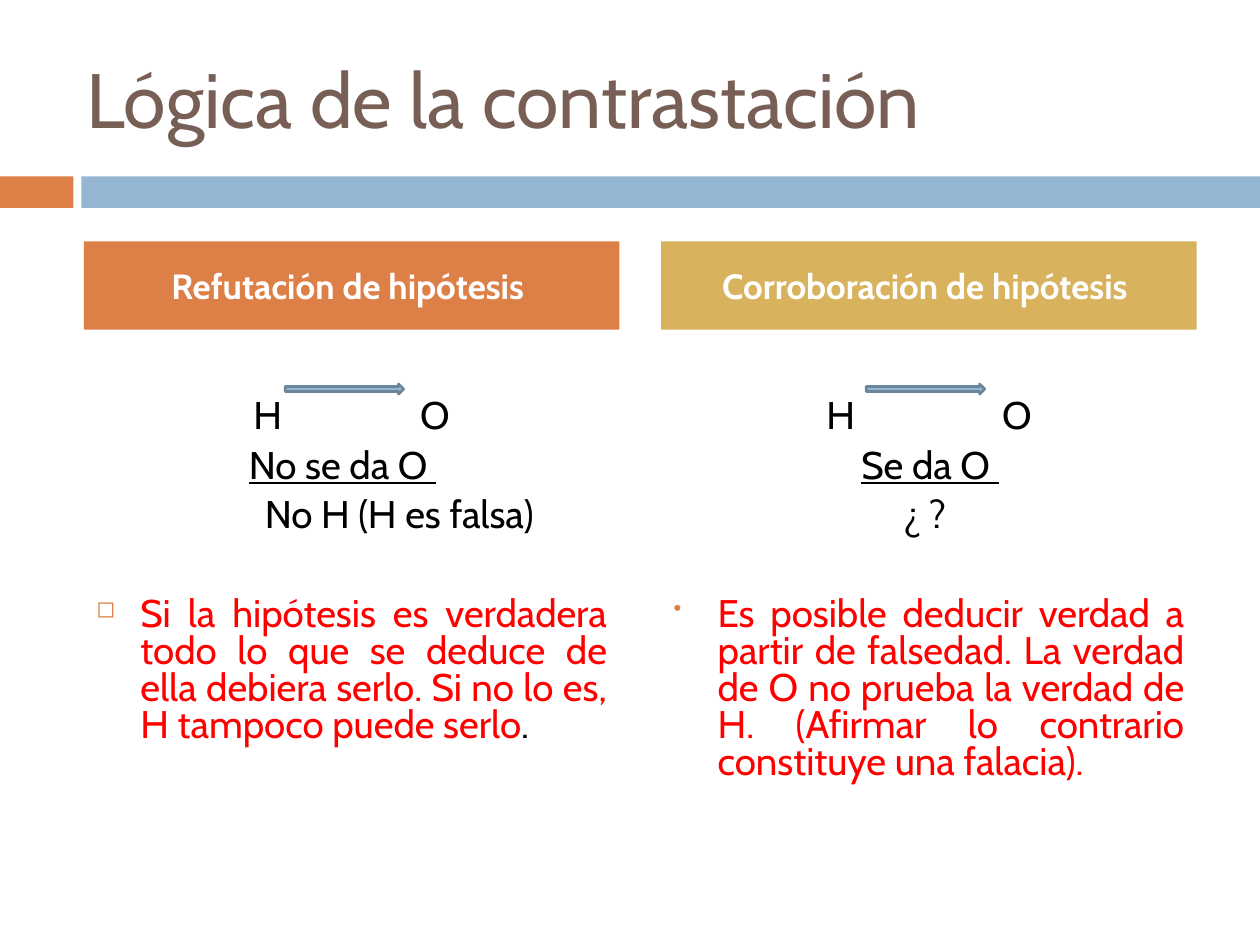
from dataclasses import dataclass

from lxml.etree import SubElement
from pptx import Presentation
from pptx.dml.color import RGBColor
from pptx.enum.shapes import MSO_SHAPE
from pptx.enum.text import MSO_ANCHOR, MSO_AUTO_SIZE, PP_ALIGN
from pptx.oxml.ns import qn
from pptx.shapes.autoshape import Shape
from pptx.slide import Slide
from pptx.util import Pt


@dataclass(frozen=True)
class Theme:
    font: str = "Cabin"
    title_size: float = 44
    heading_size: float = 20
    body_size: float = 22
    line_spacing: float = 0.8
    paragraph_gap: float = 7
    section_gap: float = 35.4
    title: str = "775F55"
    orange: str = "DD8047"
    blue: str = "94B6D2"
    blue_edge: str = "6B859A"
    gold: str = "D8B25C"
    white: str = "FFFFFF"
    black: str = "000000"
    red: str = "FF0000"


@dataclass(frozen=True)
class Box:
    left: float
    top: float
    width: float
    height: float

    def lengths(self) -> tuple[Pt, Pt, Pt, Pt]:
        return Pt(self.left), Pt(self.top), Pt(self.width), Pt(self.height)


@dataclass(frozen=True)
class Line:
    text: str
    indent: float


@dataclass(frozen=True)
class Column:
    left: float
    heading: str
    heading_color: str
    arrow_left: float
    implication_stops: tuple[float, float]
    premise: Line
    inference: Line
    bullet: str
    conclusion: str
    closing: str = ""


THEME = Theme()
COLUMN_WIDTH = 306
COLUMNS = [
    Column(48, "Refutación de hipótesis", THEME.orange, 163, (89.7, 185),
           Line("No se da O ", 87.2), Line("No H (H es falsa)", 96.3), "◻",
           "Si la hipótesis es verdadera todo lo que se deduce de ella debiera serlo. "
           "Si no lo es, H tampoco puede serlo", "."),
    Column(377.8, "Corroboración de hipótesis", THEME.gold, 495, (87.3, 187.8),
           Line("Se da O ", 107.3), Line("¿ ?", 131.2), "•",
           "Es posible deducir verdad a partir de falsedad. La verdad de O no prueba "
           "la verdad de H. (Afirmar lo contrario constituye una falacia)."),
]


def format_runs(paragraph, size: float, color: str, bold: bool = False, underline: bool = False) -> None:
    for run in paragraph.runs:
        run.font.name = THEME.font
        run.font.size = Pt(size)
        run.font.bold = bold
        run.font.underline = underline
        run.font.color.rgb = RGBColor.from_string(color)


def add_block(slide: Slide, preset: MSO_SHAPE, box: Box, fill: str) -> Shape:
    shape = slide.shapes.add_shape(preset, *box.lengths())
    shape.shadow.inherit = False
    shape.fill.solid()
    shape.fill.fore_color.rgb = RGBColor.from_string(fill)
    shape.line.fill.background()
    return shape


def add_title(slide: Slide, text: str) -> None:
    title = slide.shapes.title
    title.left, title.top, title.width, title.height = Box(42, 21.6, 642, 68.4).lengths()
    frame = title.text_frame
    frame.text = text
    frame.auto_size = MSO_AUTO_SIZE.NONE
    frame.vertical_anchor = MSO_ANCHOR.MIDDLE
    frame.paragraphs[0].alignment = PP_ALIGN.LEFT
    format_runs(frame.paragraphs[0], THEME.title_size, THEME.title)


def set_indent(paragraph, margin: float, first_line: float = 0) -> None:
    properties = paragraph._p.get_or_add_pPr()
    properties.set("marL", str(Pt(margin)))
    properties.set("indent", str(Pt(first_line)))


def set_tabs(paragraph, stops: tuple[float, ...]) -> None:
    tabs = SubElement(paragraph._p.get_or_add_pPr(), qn("a:tabLst"))
    for stop in stops:
        SubElement(tabs, qn("a:tab"), pos=str(Pt(stop)), algn="l")


def set_bullet(paragraph, character: str) -> None:
    properties = paragraph._p.get_or_add_pPr()
    color = SubElement(properties, qn("a:buClr"))
    SubElement(color, qn("a:srgbClr"), val=THEME.orange)
    SubElement(properties, qn("a:buSzPct"), val="60000")
    SubElement(properties, qn("a:buChar"), char=character)


def add_heading(slide: Slide, column: Column) -> None:
    box = Box(column.left, 138, COLUMN_WIDTH, 50.4)
    heading = add_block(slide, MSO_SHAPE.RECTANGLE, box, column.heading_color)
    frame = heading.text_frame
    frame.text = column.heading
    frame.word_wrap = True
    frame.vertical_anchor = MSO_ANCHOR.MIDDLE
    frame.margin_right = Pt(11.6)
    paragraph = frame.paragraphs[0]
    paragraph.alignment = PP_ALIGN.CENTER
    paragraph.space_before = Pt(THEME.paragraph_gap)
    format_runs(paragraph, THEME.heading_size, THEME.white, bold=True)


def add_argument(slide: Slide, column: Column) -> None:
    box = Box(column.left, 192.2, COLUMN_WIDTH, 282)
    frame = slide.shapes.add_textbox(*box.lengths()).text_frame
    frame.word_wrap = True
    frame.margin_top = Pt(36.6)
    frame.text = "\n".join(["\tH\tO", column.premise.text, column.inference.text, column.conclusion])
    implication, premise, inference, conclusion = frame.paragraphs
    for paragraph in frame.paragraphs:
        paragraph.alignment = PP_ALIGN.LEFT
        paragraph.line_spacing = THEME.line_spacing
        paragraph.space_before = Pt(THEME.paragraph_gap)
        format_runs(paragraph, THEME.body_size, THEME.black)

    set_tabs(implication, column.implication_stops)
    set_indent(premise, column.premise.indent)
    format_runs(premise, THEME.body_size, THEME.black, underline=True)
    set_indent(inference, column.inference.indent)

    conclusion.alignment = PP_ALIGN.JUSTIFY
    conclusion.space_before = Pt(THEME.section_gap)
    set_indent(conclusion, 25.2, -25.2)
    set_bullet(conclusion, column.bullet)
    if column.closing:
        conclusion.add_run().text = column.closing
        format_runs(conclusion, THEME.body_size, THEME.black)
    conclusion.runs[0].font.color.rgb = RGBColor.from_string(THEME.red)


def add_implication_arrow(slide: Slide, column: Column) -> None:
    box = Box(column.arrow_left, 219.4, 67.7, 5.8)
    arrow = add_block(slide, MSO_SHAPE.RIGHT_ARROW, box, THEME.blue)
    arrow.line.color.rgb = RGBColor.from_string(THEME.blue_edge)
    arrow.line.width = Pt(1.5)


def main() -> None:
    presentation = Presentation()
    presentation.slide_width, presentation.slide_height = Pt(720), Pt(540)
    slide = presentation.slides.add_slide(presentation.slide_layouts[5])
    add_block(slide, MSO_SHAPE.RECTANGLE, Box(0, 100.8, 42, 18), THEME.orange)
    add_block(slide, MSO_SHAPE.RECTANGLE, Box(46.5, 100.8, 673.5, 18), THEME.blue)
    add_title(slide, "Lógica de la contrastación")
    for column in COLUMNS:
        add_argument(slide, column)
        add_heading(slide, column)
        add_implication_arrow(slide, column)
    presentation.save("out.pptx")


if __name__ == "__main__":
    main()
